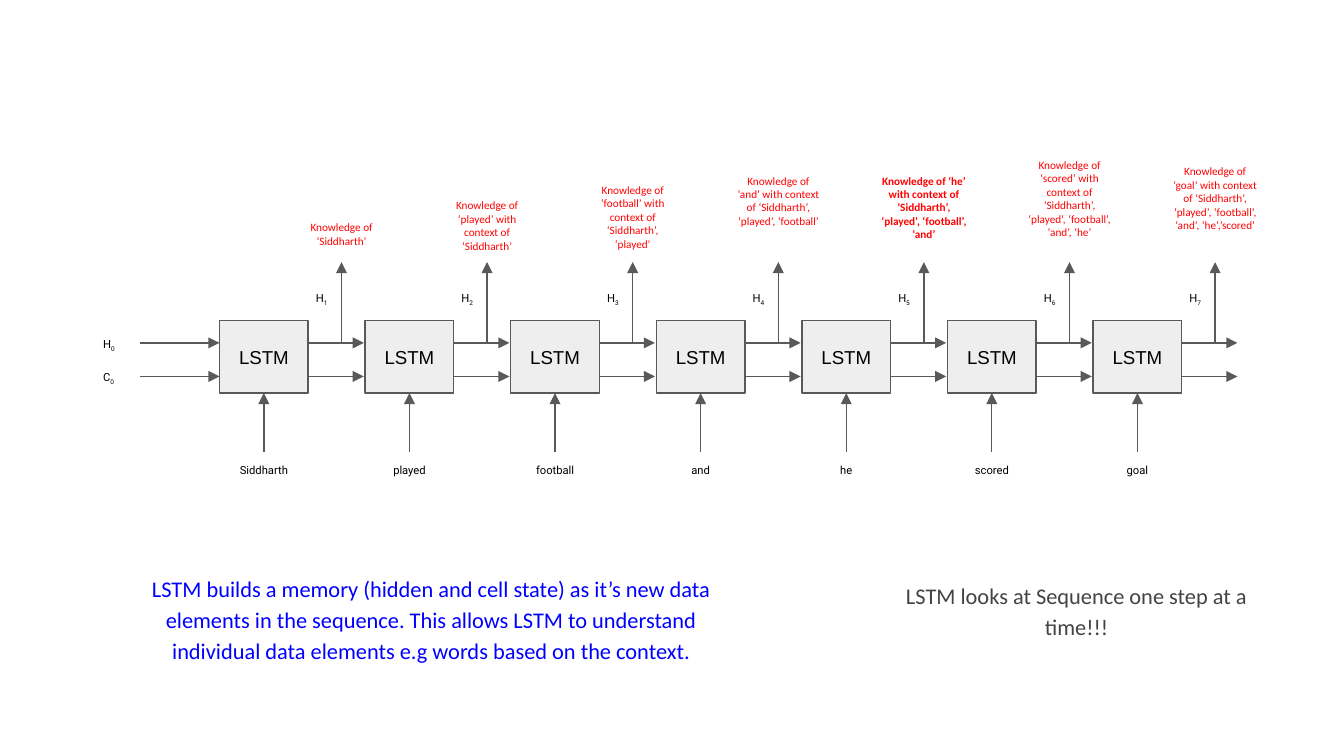
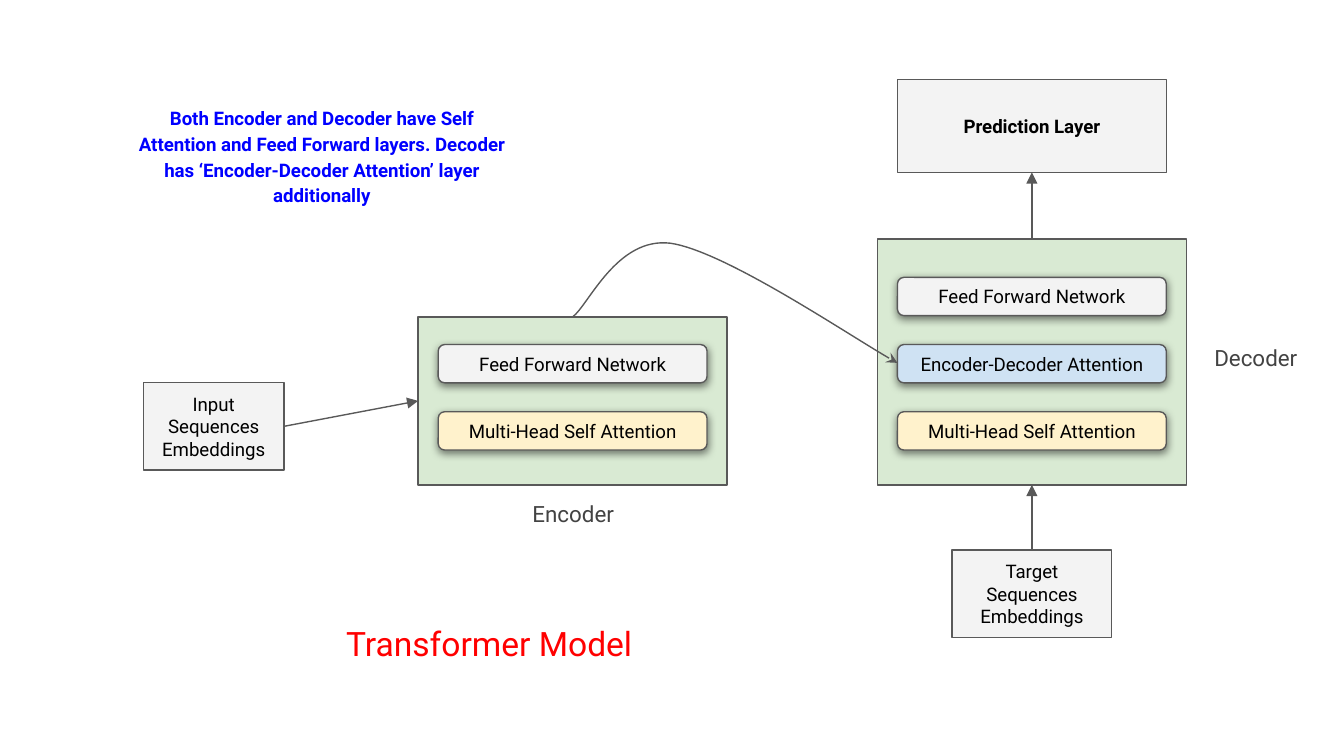
import lxml.etree
import pptx
import pptx.dml.color
import pptx.enum.shapes
import pptx.enum.text
import pptx.oxml.ns
import pptx.util

Pt = pptx.util.Pt
qn = pptx.oxml.ns.qn
SHAPES = pptx.enum.shapes.MSO_SHAPE
ALIGN = pptx.enum.text.PP_ALIGN
TOP, LEFT, BOTTOM, RIGHT = range(4)

COLORS = {
    "ink": "000000", "grey text": "434343", "line": "595959", "red": "FF0000",
    "blue": "0000FF", "cell": "EEEEEE", "plain": "F3F3F3", "stack": "D9EAD3",
    "self": "FFF2CC", "cross": "CFE2F3",
}
STEPS = [
    ("Siddharth", 30, "Knowledge of ‘Siddharth’"),
    ("played", 39, "Knowledge of ‘played’ with context of ‘Siddharth’"),
    ("football", 48.5, "Knowledge of ‘football’ with context of ‘Siddharth’, ‘played’"),
    ("and", 58.5, "Knowledge of ‘and’ with context of ‘Siddharth’, ‘played’, ‘football’"),
    ("he", 58.5, "Knowledge of ‘he’ with context of ‘Siddharth’, ‘played’, ‘football’, ‘and’"),
    ("scored", 61, "Knowledge of ‘scored’ with context of ‘Siddharth’, ‘played’, "
                   "‘football’, ‘and’, ‘he’"),
    ("goal", 61, "Knowledge of ‘goal’ with context of ‘Siddharth’, ‘played’, "
                 "‘football’, ‘and’, ‘he’,’scored’"),
]
RAISED = {"and", "scored", "goal"}


class Diagram:
    """Hold the deck, its style and the current page."""

    def __init__(self):
        """Start an empty widescreen deck."""
        self.deck = pptx.Presentation()
        self.deck.slide_width, self.deck.slide_height = Pt(720), Pt(405)
        self.page = None

    def add_page(self, layout):
        """Add a page with the numbered layout and make it current."""
        self.page = self.deck.slides.add_slide(self.deck.slide_layouts[layout])

    def color(self, name):
        """Return a named colour."""
        return pptx.dml.color.RGBColor.from_string(COLORS[name])

    def set_text(self, box, text, size, font="Roboto", color="ink", bold=False,
                 align=ALIGN.CENTER, spacing=None, subscript="", raised=0):
        """Fill a box with text, one paragraph per line."""
        frame = box.text_frame
        frame.text = text
        frame.word_wrap = True
        frame.auto_size = pptx.enum.text.MSO_AUTO_SIZE.NONE
        frame.vertical_anchor = pptx.enum.text.MSO_ANCHOR.MIDDLE
        frame.margin_left = frame.margin_right = frame.margin_top = Pt(7.2)
        frame.margin_bottom = Pt(7.2 + raised)
        for para in frame.paragraphs:
            para.alignment = align
            if spacing:
                para.line_spacing = spacing
            para.font.name, para.font.size, para.font.bold = font, Pt(size), bold
            para.font.color.rgb = self.color(color)
        if subscript:
            span = frame.paragraphs[0].add_run()
            span.text = subscript
            span._r.get_or_add_rPr().set("baseline", "-25000")

    def label(self, left, top, width, height, text, size, **style):
        """Add a text box."""
        box = self.page.shapes.add_textbox(Pt(left), Pt(top), Pt(width), Pt(height))
        self.set_text(box, text, size, **style)
        return box

    def title(self, left, top, width, height, text, size, **style):
        """Place and fill the page's title placeholder."""
        box = self.page.shapes.title
        box.left, box.top, box.width, box.height = map(Pt, (left, top, width, height))
        self.set_text(box, text, size, **style)

    def outline(self, shape):
        """Give a shape or connector the common line."""
        shape.line.color.rgb = self.color("line")
        shape.line.width = Pt(0.75)

    def block(self, left, top, width, height, fill, text="", size=10, kind=SHAPES.RECTANGLE,
              **style):
        """Add a filled, outlined shape."""
        box = self.page.shapes.add_shape(kind, Pt(left), Pt(top), Pt(width), Pt(height))
        box.shadow.inherit = False
        box.fill.solid()
        box.fill.fore_color.rgb = self.color(fill)
        self.outline(box)
        if text:
            self.set_text(box, text, size, **style)
        return box

    def layer(self, left, top, fill, text):
        """Add a rounded network layer with a soft shadow below it."""
        box = self.block(left, top, 144, 20.5, fill, text, kind=SHAPES.ROUNDED_RECTANGLE)
        effects = box._element.spPr.find(qn("a:effectLst"))
        shadow = lxml.etree.SubElement(
            effects, qn("a:outerShdw"), blurRad=str(Pt(4.5)), dist=str(Pt(1.5)),
            dir="5400000", algn="bl", rotWithShape="0")
        tone = lxml.etree.SubElement(shadow, qn("a:srgbClr"), val=COLORS["ink"])
        lxml.etree.SubElement(tone, qn("a:alpha"), val="50000")

    def head(self, shape, kind="triangle"):
        """Put an arrowhead on the end of a line."""
        line = shape.line._get_or_add_ln()
        lxml.etree.SubElement(line, qn("a:tailEnd"), type=kind, w="med", len="med")

    def arrow(self, start=(0, 0), end=(0, 0), begin_at=None, end_at=None):
        """Draw a straight arrow between points or (box, side) joints."""
        link = self.page.shapes.add_connector(
            pptx.enum.shapes.MSO_CONNECTOR.STRAIGHT, *map(Pt, start + end))
        if begin_at:
            link.begin_connect(*begin_at)
        if end_at:
            link.end_connect(*end_at)
        self.outline(link)
        self.head(link)
        lxml.etree.SubElement(link._element.spPr, qn("a:effectLst"))

    def curve(self, start, bends):
        """Draw an open curved arrow; each bend is two controls and an end point."""
        builder = self.page.shapes.build_freeform(Pt(start[0]), Pt(start[1]))
        builder.add_line_segments([tuple(map(Pt, bend[-1])) for bend in bends], close=False)
        shape = builder.convert_to_shape()
        segments = list(shape._element.iter(qn("a:lnTo")))
        for segment, bend in zip(segments, bends):
            bezier = lxml.etree.Element(qn("a:cubicBezTo"))
            for x, y in bend:
                lxml.etree.SubElement(bezier, qn("a:pt"), x=str(Pt(x) - shape.left),
                                      y=str(Pt(y) - shape.top))
            segment.getparent().replace(segment, bezier)
        shape.shadow.inherit = False
        shape.fill.background()
        self.outline(shape)
        self.head(shape, "stealth")


def build_lstm(diagram):
    """Build the unrolled LSTM page."""
    diagram.add_page(6)
    pitch, first, width = 78, 117.6, 47.5
    state_rows = {"H": 183.7, "C": 201.7}
    for name, y in state_rows.items():
        diagram.label(48.2, y - 8.7, 26.6, 19.4, name, 6, align=ALIGN.LEFT, subscript="0")
        diagram.arrow((75, y), (first, y))
    for index, (word, height, knowledge) in enumerate(STEPS):
        left = first + index * pitch
        middle = left + width / 2
        cell = diagram.block(left, 171.8, width, 38.8, "cell", "LSTM", font="Arial")
        for y in state_rows.values():
            diagram.arrow((left + width, y), (left + width + 29.8, y))
        source = diagram.label(middle - 30, 242, 60, 19.4, word, 6)
        diagram.arrow(begin_at=(source, TOP), end_at=(cell, BOTTOM))
        output = middle + 41.6
        context = diagram.label(output - 30, 140.4 - height, 60, height, knowledge, 6,
                                font="Calibri", color="red", bold=word == "he",
                                raised=7.2 if word in RAISED else 0)
        diagram.arrow(start=(output, 184.5), end_at=(context, BOTTOM))
        diagram.label(middle + 20.8, 150.5, 26.6, 19.4, "H", 6, align=ALIGN.LEFT,
                      subscript=str(index + 1))
    diagram.label(56.9, 296.6, 348.5, 68.4,
                  "LSTM builds a memory (hidden and cell state) as it’s new data elements in "
                  "the sequence. This allows LSTM to understand individual data elements e.g "
                  "words based on the context.",
                  12, font="Calibri", color="blue", spacing=1.15)
    diagram.label(477.4, 274.3, 198.7, 103.7, "LSTM looks at Sequence one step at a time!!!",
                  12, font="Calibri", color="grey text", spacing=1.15)


def build_transformer(diagram):
    """Build the encoder and decoder page."""
    diagram.add_page(5)
    diagram.title(71.3, 308.9, 381.6, 68.4, "Transformer Model", 18, color="red", spacing=1.15)
    encoder = diagram.block(224, 169.8, 165.6, 90, "stack")
    decoder = diagram.block(470, 128, 165.6, 131.8, "stack")
    inputs = diagram.block(76.8, 205, 75.4, 46.8, "plain", "Input Sequences\nEmbeddings")
    targets = diagram.block(510.1, 294.6, 85.4, 46.8, "plain", "Target Sequences\nEmbeddings")
    prediction = diagram.block(480.8, 42.6, 144, 49.8, "plain", "Prediction Layer", bold=True)
    diagram.arrow(begin_at=(inputs, RIGHT), end_at=(encoder, LEFT))
    diagram.arrow(begin_at=(targets, TOP), end_at=(decoder, BOTTOM))
    diagram.arrow(begin_at=(decoder, TOP), end_at=(prediction, BOTTOM))

    feed = ("plain", "Feed Forward Network")
    cross = ("cross", "Encoder-Decoder Attention")
    attention = ("self", "Multi-Head Self Attention")
    for left, layers in ((234.8, (attention, feed)), (480.8, (attention, cross, feed))):
        for index, (fill, text) in enumerate(layers):
            diagram.layer(left, 220.6 - 36 * index, fill, text)
    for left, top, text in ((272.9, 265.7, "Encoder"), (638.6, 181.8, "Decoder")):
        diagram.label(left, top, 68.4, 19.4, text, 12, color="grey text")
    diagram.curve((306.8, 169.8), [
        ((315.4, 163.4), (330.5, 126.7), (359.3, 130.3)),
        ((388.1, 134.6), (460.8, 183.6), (480.8, 194.4)),
    ])
    diagram.label(62.6, 33.8, 219.6, 98.6,
                  "Both Encoder and Decoder have Self Attention and Feed Forward layers. "
                  "Decoder has ‘Encoder-Decoder Attention’ layer additionally",
                  10, color="blue", bold=True, spacing=1.15)


def main():
    """Build both pages and save the deck."""
    diagram = Diagram()
    build_lstm(diagram)
    build_transformer(diagram)
    diagram.deck.save("out.pptx")


if __name__ == "__main__":
    main()
